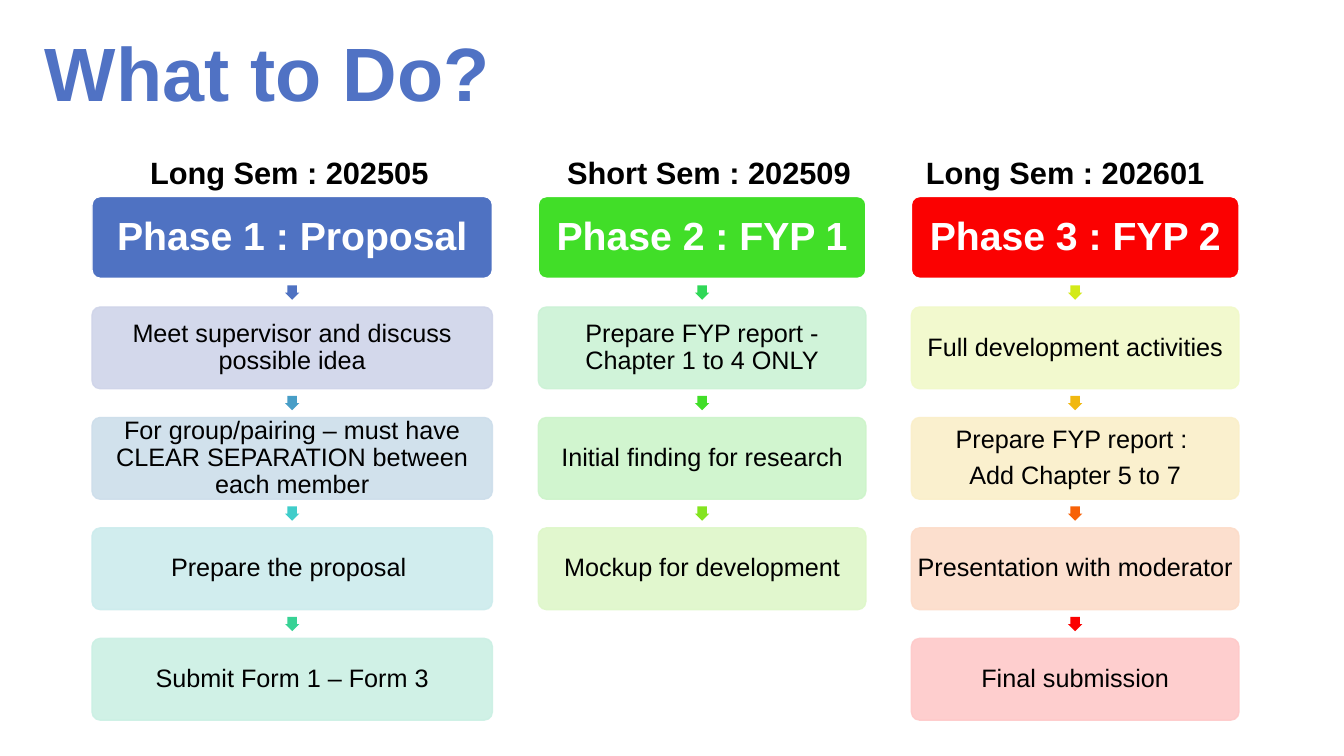
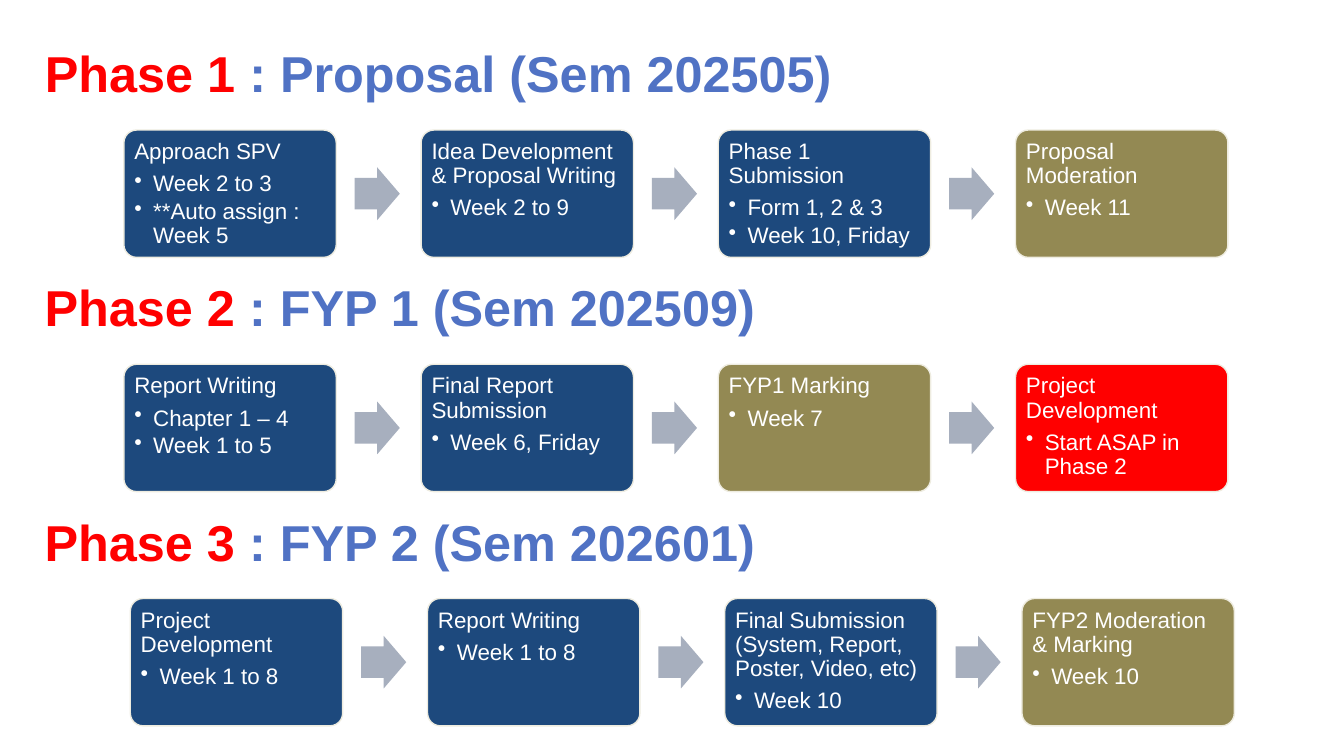
from pptx import Presentation
from pptx.dml.color import RGBColor
from pptx.enum.shapes import MSO_SHAPE as Preset
from pptx.enum.text import MSO_ANCHOR as Anchor, MSO_AUTO_SIZE as AutoSize, PP_ALIGN as Align
from pptx.oxml.ns import qn
from pptx.util import Pt
from lxml.etree import SubElement

FONT = "Arial"
WHITE = RGBColor(0xFF, 0xFF, 0xFF)
BLACK = RGBColor(0x00, 0x00, 0x00)
TITLE_BLUE = RGBColor(0x50, 0x72, 0xC4)
RED = RGBColor(0xFF, 0x00, 0x00)
NAVY = RGBColor(0x1D, 0x49, 0x7D)
OLIVE = RGBColor(0x93, 0x89, 0x53)
CREAM = RGBColor(0xEE, 0xEC, 0xE0)
ARROW_GREY = RGBColor(0xA7, 0xAF, 0xBE)
PHASE_BLUE = RGBColor(0x4F, 0x72, 0xC2)
PHASE_GREEN = RGBColor(0x41, 0xDE, 0x28)
PHASE_RED = RGBColor(0xFB, 0x01, 0x01)


def write_heading(box, top, height, size, spans):
    """Place a heading line and fill it with (text, colour) spans."""
    box.left, box.top, box.width, box.height = Pt(24.8), Pt(top), Pt(911.5), Pt(height)
    frame = box.text_frame
    frame.word_wrap = True
    frame.auto_size = AutoSize.NONE
    frame.vertical_anchor = Anchor.MIDDLE
    para = frame.paragraphs[0]
    para.alignment = Align.LEFT
    para.line_spacing = 0.9
    for text, colour in spans:
        span = para.add_run()
        span.text = text
        span.font.name, span.font.size, span.font.bold = FONT, Pt(size), True
        span.font.color.rgb = colour


def add_block(page, preset, left, top, width, height, adjustments, fill, line=None, inset=0):
    block = page.shapes.add_shape(preset, Pt(left), Pt(top), Pt(width), Pt(height))
    block.shadow.inherit = False
    for index, value in enumerate(adjustments):
        block.adjustments[index] = value
    block.fill.solid()
    block.fill.fore_color.rgb = fill
    if line is None:
        block.line.fill.background()
    else:
        block.line.color.rgb = line
        block.line.width = Pt(1)
    frame = block.text_frame
    frame.word_wrap = True
    frame.margin_left = frame.margin_right = frame.margin_top = frame.margin_bottom = Pt(inset)
    return block


deck = Presentation()
deck.slide_width, deck.slide_height = Pt(960), Pt(540)
title_only = deck.slide_layouts[5]

# Overview: one column of steps per phase
page = deck.slides.add_slide(title_only)
write_heading(page.shapes.title, 26.6, 56.9, 54, [("What to Do?", TITLE_BLUE)])

# Column: left, width, semester, semester left, phase, colour, steps (text, arrow, fill)
phases = [
    (65.7, 286, "Long Sem : 202505", 100.1, "Phase 1 : Proposal", PHASE_BLUE, [
        ("Meet supervisor and discuss possible idea", PHASE_BLUE, RGBColor(0xCF, 0xD4, 0xE9)),
        ("For group/pairing – must have CLEAR SEPARATION between each member",
         RGBColor(0x48, 0x9E, 0xC7), RGBColor(0xCD, 0xDE, 0xEB)),
        ("Prepare the proposal ", RGBColor(0x40, 0xCD, 0xCA), RGBColor(0xCC, 0xEC, 0xED)),
        ("Submit Form 1 – Form 3", RGBColor(0x38, 0xD2, 0x95), RGBColor(0xCB, 0xF0, 0xE4)),
    ]),
    (384.5, 234, "Short Sem : 202509", 398, "Phase 2 : FYP 1", PHASE_GREEN, [
        ("Prepare FYP report - Chapter 1 to 4 ONLY",
         RGBColor(0x30, 0xD8, 0x57), RGBColor(0xCB, 0xF2, 0xD5)),
        ("Initial finding for research", PHASE_GREEN, RGBColor(0xCD, 0xF4, 0xCA)),
        ("Mockup for development", RGBColor(0x84, 0xE4, 0x20), RGBColor(0xDE, 0xF7, 0xC9)),
    ]),
    (651, 234, "Long Sem : 202601", 654.3, "Phase 3 : FYP 2", PHASE_RED, [
        ("Full development activities", RGBColor(0xD3, 0xEA, 0x18), RGBColor(0xF1, 0xF9, 0xC9)),
        ("Prepare FYP report : \nAdd Chapter 5 to 7",
         RGBColor(0xF1, 0xB8, 0x10), RGBColor(0xFA, 0xEF, 0xC9)),
        ("Presentation with moderator", RGBColor(0xF7, 0x61, 0x07), RGBColor(0xFC, 0xDC, 0xC9)),
        ("Final submission", PHASE_RED, RGBColor(0xFE, 0xC9, 0xC9)),
    ]),
]
COLUMN_TOP, STEP_HEIGHT, STEP_PITCH, DOWN_SIZE = 140.4, 58.4, 78.9, 10.2

for left, width, semester, semester_left, phase, colour, steps in phases:
    label = page.shapes.add_textbox(Pt(semester_left), Pt(106.6), Pt(220), Pt(33.8))
    label.text_frame.word_wrap = True
    label.text_frame.text = semester
    font = label.text_frame.paragraphs[0].runs[0].font
    font.name, font.size, font.bold = FONT, Pt(22), True
    font.color.rgb = BLACK

    for row, (text, arrow_colour, fill) in enumerate([(phase, None, colour)] + steps):
        is_header = row == 0
        top = COLUMN_TOP + row * STEP_PITCH
        if not is_header:
            gap_middle = top - (STEP_PITCH - STEP_HEIGHT) / 2
            add_block(page, Preset.DOWN_ARROW, left + (width - DOWN_SIZE) / 2,
                      gap_middle - DOWN_SIZE / 2, DOWN_SIZE, DOWN_SIZE,
                      (0.667, 0.5), arrow_colour)
        block = add_block(page, Preset.ROUNDED_RECTANGLE, left, top, width, STEP_HEIGHT, (0.1,),
                          fill, WHITE if is_header else fill, 2.8 if is_header else 1.8)
        if not is_header:
            for tint in block.element.spPr.iter(qn("a:srgbClr")):
                SubElement(tint, qn("a:alpha"), val="90000")
        frame = block.text_frame
        frame.vertical_anchor = Anchor.MIDDLE
        frame.text = text
        for index, para in enumerate(frame.paragraphs):
            para.alignment = Align.CENTER
            para.line_spacing = 0.9
            para.space_before = Pt(6.3 if index else 0)
            font = para.runs[0].font
            font.name, font.bold = FONT, is_header
            font.size = Pt(28 if is_header else 18)
            font.color.rgb = WHITE if is_header else BLACK

# Timeline: one row of milestones per phase
page = deck.slides.add_slide(title_only)

# Row: phase, subject, left, milestones (fill, name, details)
timelines = [
    ("Phase 1 ", ": Proposal (Sem 202505)", 88.5, [
        (NAVY, "Approach SPV", ["Week 2 to 3", "**Auto assign : Week 5"]),
        (NAVY, "Idea Development & Proposal Writing", ["Week 2 to 9"]),
        (NAVY, "Phase 1 Submission", ["Form 1, 2 & 3", "Week 10, Friday"]),
        (OLIVE, "Proposal Moderation", ["Week 11"]),
    ]),
    ("Phase 2 ", ": FYP 1 (Sem 202509)", 88.5, [
        (NAVY, "Report Writing", ["Chapter 1 – 4", "Week 1 to 5"]),
        (NAVY, "Final Report Submission", ["Week 6, Friday"]),
        (OLIVE, "FYP1 Marking", ["Week 7"]),
        (RED, "Project Development", ["Start ASAP in Phase 2"]),
    ]),
    ("Phase 3 ", ": FYP 2 (Sem 202601)", 93.1, [
        (NAVY, "Project Development", ["Week 1 to 8"]),
        (NAVY, "Report Writing", ["Week 1 to 8"]),
        (NAVY, "Final Submission (System, Report, Poster, Video, etc)", ["Week 10"]),
        (OLIVE, "FYP2 Moderation & Marking", ["Week 10"]),
    ]),
]
ROW_PITCH, CARD_PITCH, CARD_WIDTH, CARD_HEIGHT = 167.3, 212.3, 151.7, 91
ARROW_WIDTH, ARROW_HEIGHT, ARROW_GAP = 32.2, 37.6, 13.2
BULLET_INDENT = Pt(13.5)

for row, (phase, subject, row_left, milestones) in enumerate(timelines):
    offset = row * ROW_PITCH
    heading = page.shapes.add_textbox(0, 0, 0, 0) if row else page.shapes.title
    write_heading(heading, 33.6 + offset, 41.8, 36, [(phase, RED), (subject, TITLE_BLUE)])

    top = 92.9 + offset
    for column, (fill, name, details) in enumerate(milestones):
        left = row_left + column * CARD_PITCH
        if column:
            add_block(page, Preset.RIGHT_ARROW, left - CARD_PITCH + CARD_WIDTH + ARROW_GAP,
                      top + (CARD_HEIGHT - ARROW_HEIGHT) / 2, ARROW_WIDTH, ARROW_HEIGHT,
                      (0.6, 0.5), ARROW_GREY)
        card = add_block(page, Preset.ROUNDED_RECTANGLE, left, top, CARD_WIDTH, CARD_HEIGHT,
                         (0.1,), fill, CREAM, 4.8)
        frame = card.text_frame
        frame.vertical_anchor = Anchor.TOP
        frame.text = "\n".join([name] + details)
        for index, para in enumerate(frame.paragraphs):
            para.alignment = Align.LEFT
            para.line_spacing = 0.9
            para.space_before = Pt((0, 5.6, 2.4)[index])
            font = para.runs[0].font
            font.name, font.size = FONT, Pt(16)
            font.color.rgb = WHITE
            if index:
                para.level = 1
                properties = para._p.get_or_add_pPr()
                properties.set("marL", str(BULLET_INDENT))
                properties.set("indent", str(-BULLET_INDENT))
                SubElement(properties, qn("a:buChar"), char="•")

deck.save("out.pptx")
